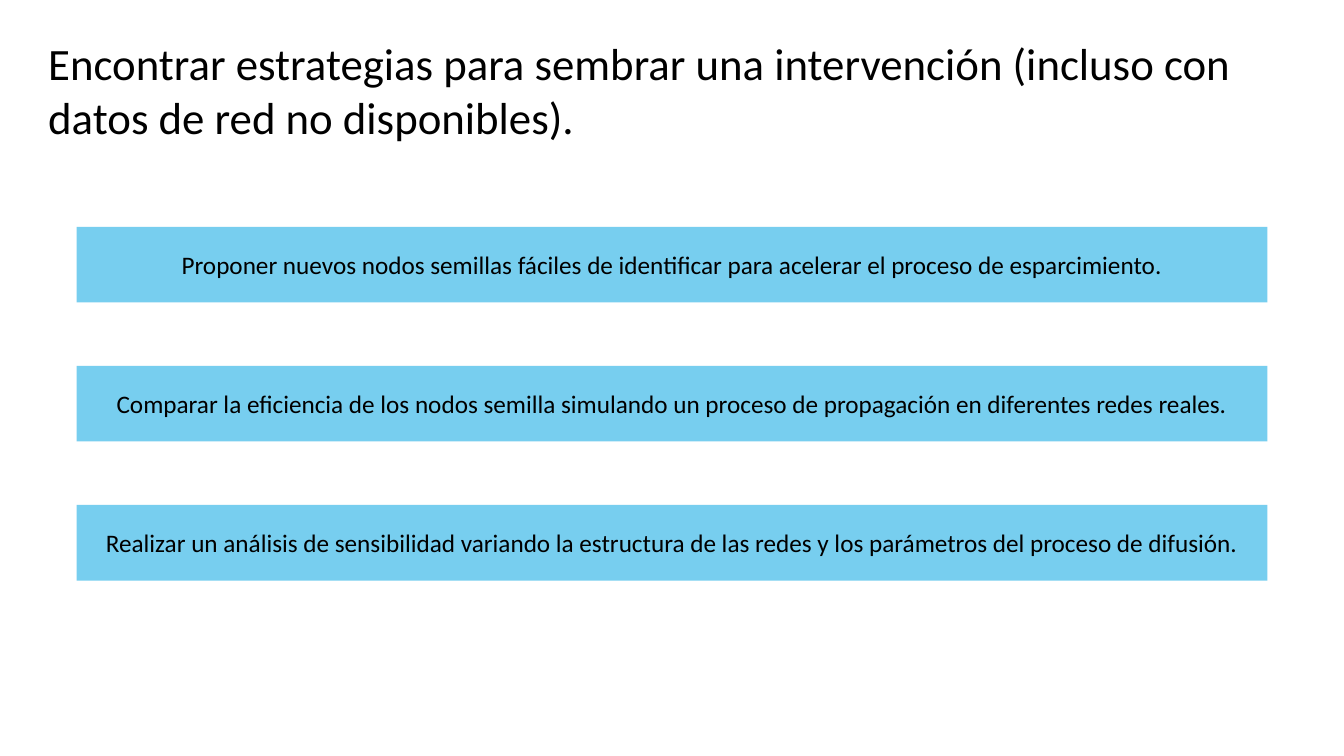
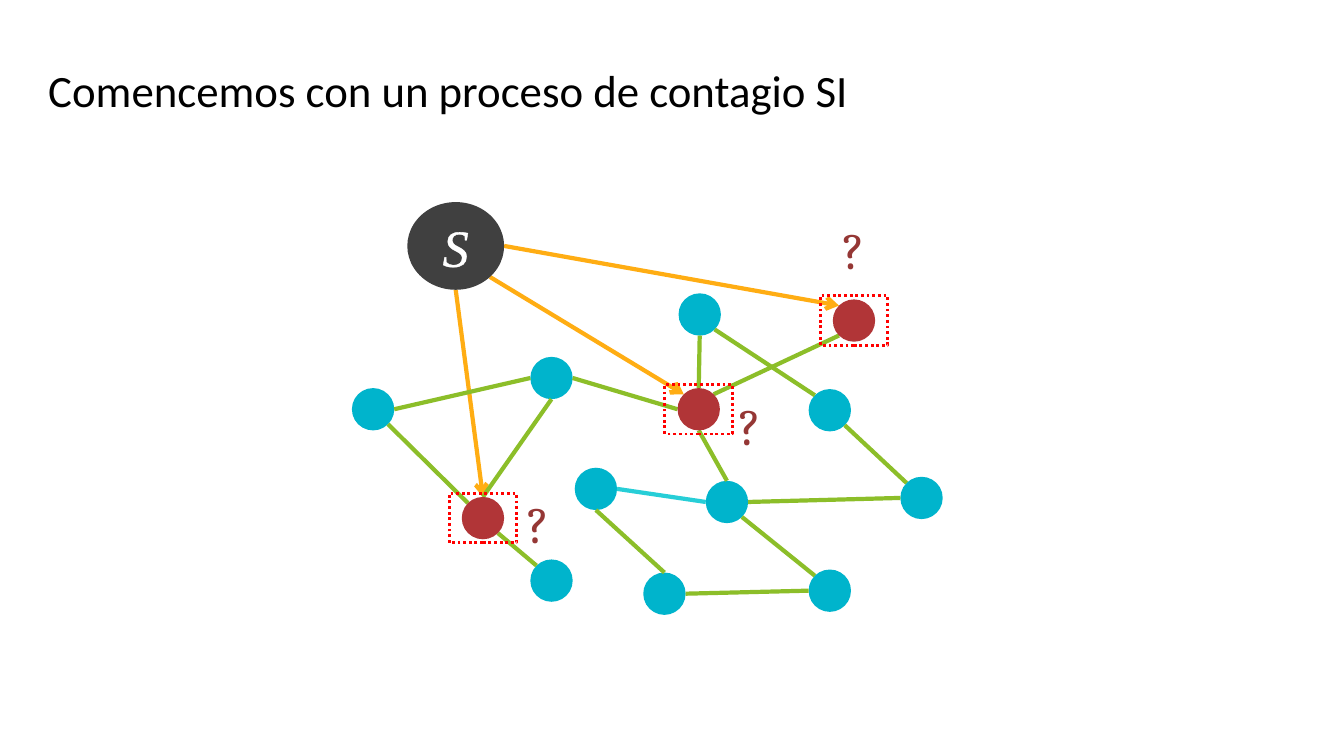
import math
from dataclasses import dataclass

import pptx
import pptx.dml.color
import pptx.enum.dml
import pptx.enum.shapes
import pptx.enum.text
import pptx.oxml
import pptx.oxml.ns
import pptx.util

SCALE = 9144
SLIDE_SIZE = (1333, 750)

RECTANGLE = pptx.enum.shapes.MSO_SHAPE.RECTANGLE
OVAL = pptx.enum.shapes.MSO_SHAPE.OVAL
CENTER = pptx.enum.text.PP_ALIGN.CENTER
MIDDLE = pptx.enum.text.MSO_ANCHOR.MIDDLE


@dataclass(frozen=True)
class Theme:
    bar: str = "77CEEF"
    node: str = "00B4CC"
    seed: str = "B13537"
    source: str = "404040"
    spread: str = "FFAD13"
    tie: str = "8CBE29"
    weak_tie: str = "27CED7"
    frame: str = "FF0000"
    line_width: float = 3
    frame_width: float = 2
    title_font = {"name": "Calibri", "size": 32, "color": "000000"}
    bar_font = {"name": "Calibri", "size": 18, "color": "000000"}
    source_font = {"name": "Times New Roman", "size": 37.3, "color": "FFFFFF", "italic": True}
    question_font = {"name": "Cambria", "size": 37.3, "color": "953735"}


THEME = Theme()

TITLE_BOX = (38, 30, 1260, 118)
GOALS_TITLE = "Encontrar estrategias para sembrar una intervención (incluso con datos de red no disponibles)."
GOALS = [
    "Proponer nuevos nodos semillas fáciles de identificar para acelerar el proceso de esparcimiento.",
    "Comparar la eficiencia de los nodos semilla simulando un proceso de propagación en diferentes redes reales.",
    "Realizar un análisis de sensibilidad variando la estructura de las redes y los parámetros del proceso de difusión.",
]
BAR_BOX = (76, 225, 1181, 75)
BAR_STEP = 138

NETWORK_TITLE = "Comencemos con un proceso de contagio SI"
NODE_SIZE = (42, 42)
SOURCE_SIZE = (96, 87)
FRAME_SIZE = (67, 49)
QUESTION_SIZE = (44, 73)
SOURCE = {"source": (452, 244)}
NODES = {
    "low left": (547, 576),
    "bottom": (659, 589),
    "west": (370, 406),
    "middle": (591, 485),
    "top": (694, 312),
    "upper": (547, 375),
    "right": (823, 407),
    "hub": (721, 498),
    "east": (914, 494),
    "low right": (823, 586),
}
SEEDS = {
    "seed middle": (693, 406),
    "seed low": (479, 514),
    "seed top": (847, 318),
}
QUESTIONS = [(723, 385), (513, 482), (826, 211)]
SPREADS = [
    ("source", "S", "seed low", "N"),
    ("source", "SE", "seed middle", "NW"),
    ("source", "E", "seed top", "NW"),
]
WEAK_TIES = [("middle", "E", "hub", "W")]
TIES = [
    ("seed low", "SE", "low left", "NW"),
    ("hub", "E", "east", "W"),
    ("upper", "E", "seed middle", "W"),
    ("west", "E", "upper", "W"),
    ("west", "SE", "seed low", "NW"),
    ("upper", "S", "seed low", "N"),
    ("seed middle", "NE", "seed top", "SW"),
    ("right", "NW", "top", "SE"),
    ("east", "NW", "right", "SE"),
    ("seed middle", "N", "top", "S"),
    ("hub", "N", "seed middle", "S"),
    ("low right", "NW", "hub", "SE"),
    ("low right", "W", "bottom", "E"),
    ("middle", "S", "bottom", "N"),
]
COMPASS = ["E", "SE", "S", "SW", "W", "NW", "N", "NE"]


def px(*values):
    return [round(value * SCALE) for value in values]


def rgb(code):
    return pptx.dml.color.RGBColor.from_string(code)


def centered(center, size):
    return (center[0] - size[0] / 2, center[1] - size[1] / 2, *size)


def write(shape, text, font, frame_format, alignment=None):
    for name, value in frame_format.items():
        setattr(shape.text_frame, name, value)
    paragraph = shape.text_frame.paragraphs[0]
    paragraph.alignment = alignment
    run = paragraph.add_run()
    run.text = text
    values = {**font, "size": pptx.util.Pt(font["size"])}
    run.font.color.rgb = rgb(values.pop("color"))
    for name, value in values.items():
        setattr(run.font, name, value)
    return run


def add_text(slide, box, text, font, **frame_format):
    write(slide.shapes.add_textbox(*px(*box)), text, font, frame_format)


def add_block(slide, kind, box, fill):
    shape = slide.shapes.add_shape(kind, *px(*box))
    shape.shadow.inherit = False
    shape.line.fill.background()
    if fill:
        shape.fill.solid()
        shape.fill.fore_color.rgb = rgb(fill)
    else:
        shape.fill.background()
    return shape


def add_nodes(slide, centers, size, fill):
    return [add_block(slide, OVAL, centered(center, size), fill) for center in centers.values()]


def site(name, direction):
    center, size = (SOURCE[name], SOURCE_SIZE) if name in SOURCE else ({**NODES, **SEEDS}[name], NODE_SIZE)
    angle = COMPASS.index(direction) * math.pi / 4
    return (center[0] + size[0] / 2 * math.cos(angle), center[1] + size[1] / 2 * math.sin(angle))


def add_links(slide, links, color, arrow=False):
    for start, start_side, end, end_side in links:
        points = px(*site(start, start_side), *site(end, end_side))
        connector = slide.shapes.add_connector(pptx.enum.shapes.MSO_CONNECTOR.STRAIGHT, *points)
        connector.line.color.rgb = rgb(color)
        connector.line.width = pptx.util.Pt(THEME.line_width)
        if arrow:
            tail = pptx.oxml.parse_xml(f'<a:tailEnd {pptx.oxml.ns.nsdecls("a")} type="arrow"/>')
            connector.line._get_or_add_ln().append(tail)
        effects = pptx.oxml.parse_xml(f'<a:effectLst {pptx.oxml.ns.nsdecls("a")}/>')
        connector._element.spPr.append(effects)


def add_titled_slide(presentation, title):
    slide = presentation.slides.add_slide(presentation.slide_layouts[6])
    add_text(slide, TITLE_BOX, title, THEME.title_font, word_wrap=True, vertical_anchor=MIDDLE)
    return slide


def build_goals(presentation):
    slide = add_titled_slide(presentation, GOALS_TITLE)
    left, top, width, height = BAR_BOX
    for index, goal in enumerate(GOALS):
        bar = add_block(slide, RECTANGLE, (left, top + index * BAR_STEP, width, height), THEME.bar)
        write(bar, goal, THEME.bar_font, {"word_wrap": True, "vertical_anchor": MIDDLE}, CENTER)


def build_network(presentation):
    slide = add_titled_slide(presentation, NETWORK_TITLE)
    add_nodes(slide, NODES, NODE_SIZE, THEME.node)
    add_links(slide, SPREADS, THEME.spread, arrow=True)
    add_links(slide, WEAK_TIES, THEME.weak_tie)
    add_links(slide, TIES, THEME.tie)
    for source in add_nodes(slide, SOURCE, SOURCE_SIZE, THEME.source):
        run = write(source, "S", THEME.source_font, {"vertical_anchor": MIDDLE}, CENTER)
        outline = pptx.oxml.parse_xml(
            f'<a:ln {pptx.oxml.ns.nsdecls("a")} w="9525"><a:solidFill>'
            f'<a:srgbClr val="{THEME.source_font["color"]}"/></a:solidFill></a:ln>'
        )
        run.font._element.insert(0, outline)
    for center in SEEDS.values():
        frame = add_block(slide, RECTANGLE, centered(center, FRAME_SIZE), None)
        frame.line.color.rgb = rgb(THEME.frame)
        frame.line.width = pptx.util.Pt(THEME.frame_width)
        frame.line.dash_style = pptx.enum.dml.MSO_LINE.ROUND_DOT
    add_nodes(slide, SEEDS, NODE_SIZE, THEME.seed)
    for corner in QUESTIONS:
        add_text(slide, (*corner, *QUESTION_SIZE), "?", THEME.question_font, word_wrap=False)


def main():
    presentation = pptx.Presentation()
    presentation.slide_width, presentation.slide_height = px(*SLIDE_SIZE)
    build_goals(presentation)
    build_network(presentation)
    presentation.save("out.pptx")


if __name__ == "__main__":
    main()
